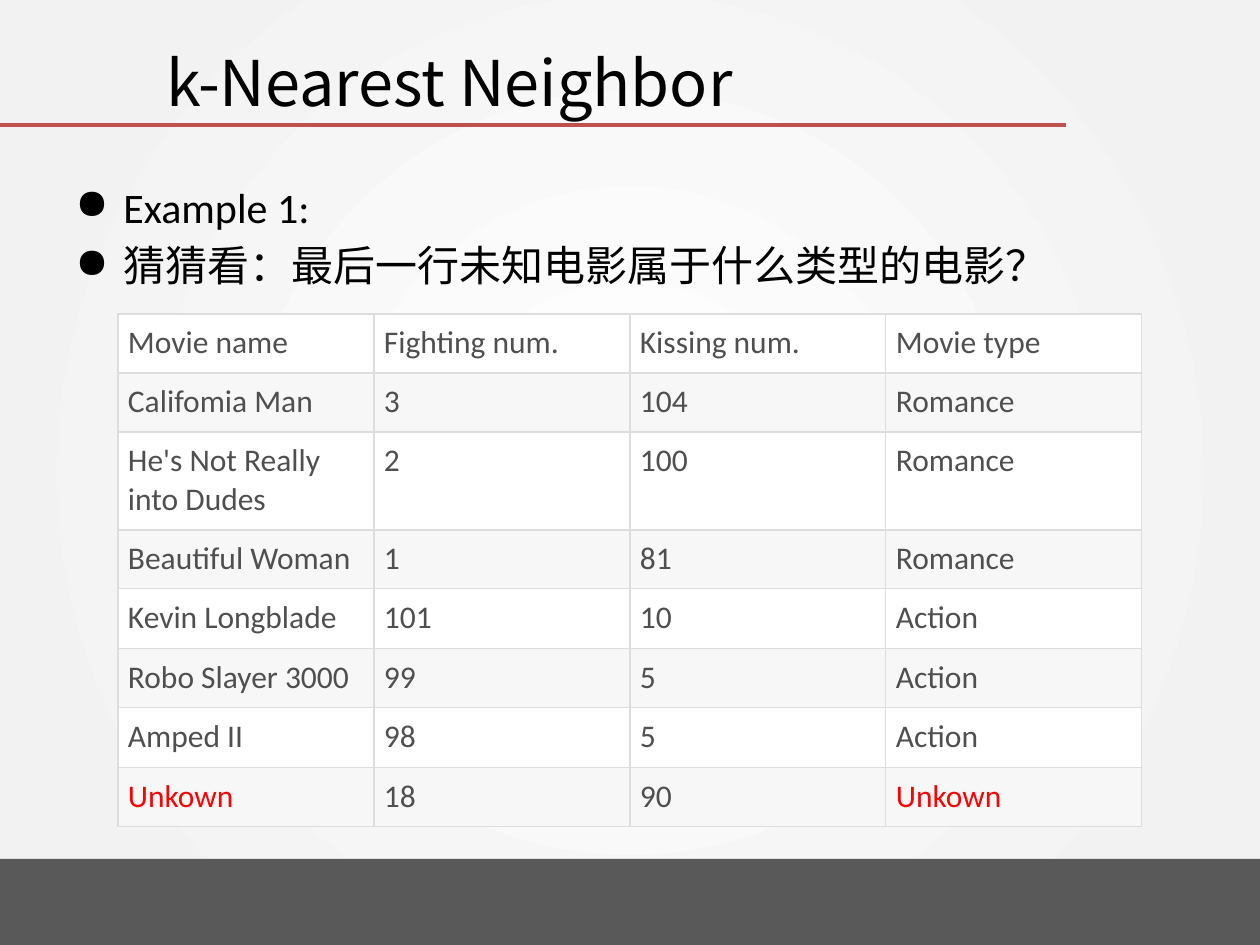
from dataclasses import dataclass
from itertools import pairwise

from lxml.etree import SubElement
from pptx import Presentation
from pptx.dml.color import RGBColor
from pptx.enum.shapes import MSO_CONNECTOR, MSO_SHAPE
from pptx.enum.text import MSO_ANCHOR
from pptx.oxml import parse_xml
from pptx.oxml.ns import nsdecls, qn
from pptx.util import Emu, Pt

EMU_PER_INCH = 914400
PX_PER_INCH = 126
LATIN, CJK = "Calibri", "Noto Sans CJK SC"
BLACK, GREY, RED = "000000", "4F4F4F", "FF0000"
UNKNOWN = "Unkown"

BULLETS = ["Example 1:", "猜猜看：最后一行未知电影属于什么类型的电影？"]
MOVIES = [
    ("Movie name", "Fighting num.", "Kissing num.", "Movie type"),
    ("Califomia Man", "3", "104", "Romance"),
    ("He's Not Really into Dudes", "2", "100", "Romance"),
    ("Beautiful Woman", "1", "81", "Romance"),
    ("Kevin Longblade", "101", "10", "Action"),
    ("Robo Slayer 3000", "99", "5", "Action"),
    ("Amped II", "98", "5", "Action"),
    (UNKNOWN, "18", "90", UNKNOWN),
]
ROW_EDGES = [314, 373, 432, 530, 589, 649, 708, 768, 827]
COLUMN_WIDTH = 256


@dataclass(frozen=True)
class Area:
    left: int
    top: int
    width: int
    height: int

    def emu(self) -> tuple:
        return tuple(px(n) for n in (self.left, self.top, self.width, self.height))


@dataclass(frozen=True)
class TextStyle:
    size: int
    color: str
    font: str = LATIN


def px(length: int) -> Emu:
    return Emu(round(length * EMU_PER_INCH / PX_PER_INCH))


def rgb(value: str) -> RGBColor:
    return RGBColor.from_string(value)


def apply_format(target, values: dict) -> None:
    for name, value in values.items():
        setattr(target, name, value)


def write(para, text: str, style: TextStyle) -> None:
    span = para.add_run()
    span.text = text
    apply_format(span.font, {"size": Pt(style.size), "name": style.font})
    span.font.color.rgb = rgb(style.color)
    SubElement(span.font._element, qn("a:ea")).set("typeface", CJK)


def add_bullet(para) -> None:
    props = para._p.get_or_add_pPr()
    props.set("marL", str(px(48)))
    props.set("indent", str(px(-48)))
    SubElement(props, qn("a:buChar")).set("char", "●")


def add_text(page, area: Area, lines: list[str], style: TextStyle,
             anchor: MSO_ANCHOR, bulleted: bool = False) -> None:
    box = page.shapes.add_textbox(*area.emu())
    frame = box.text_frame
    apply_format(frame, {"word_wrap": True, "vertical_anchor": anchor})
    for index, line in enumerate(lines):
        para = frame.add_paragraph() if index else frame.paragraphs[0]
        if bulleted:
            para.space_before = Pt(style.size * 0.2)
            add_bullet(para)
        write(para, line, style)


def set_borders(cell, color: str, width: float) -> None:
    props = cell._tc.get_or_add_tcPr()
    for index, side in enumerate("LRTB"):
        props.insert(index, parse_xml(
            f'<a:ln{side} {nsdecls("a")} w="{Pt(width)}"><a:solidFill>'
            f'<a:srgbClr val="{color}"/></a:solidFill></a:ln{side}>'))


def add_movie_table(page) -> None:
    columns = len(MOVIES[0])
    area = Area(118, ROW_EDGES[0], columns * COLUMN_WIDTH, ROW_EDGES[-1] - ROW_EDGES[0])
    table = page.shapes.add_table(len(MOVIES), columns, *area.emu()).table
    for column in table.columns:
        column.width = px(COLUMN_WIDTH)
    for row, (top, bottom) in zip(table.rows, pairwise(ROW_EDGES)):
        row.height = px(bottom - top)
    margins = {f"margin_{side}": px(10) for side in ("left", "right", "top", "bottom")}
    for row_index, values in enumerate(MOVIES):
        for column_index, value in enumerate(values):
            cell = table.cell(row_index, column_index)
            apply_format(cell, margins)
            cell.fill.solid()
            cell.fill.fore_color.rgb = rgb("F7F7F7" if row_index % 2 else "FFFFFF")
            set_borders(cell, "DDDDDD", 0.75)
            color = RED if value == UNKNOWN else GREY
            write(cell.text_frame.paragraphs[0], value, TextStyle(18, color))


def set_background(page) -> None:
    page.background.fill.solid()
    props = page._element.cSld.find(qn("p:bg")).find(qn("p:bgPr"))
    stops = "".join(f'<a:gs pos="{percent * 1000}"><a:srgbClr val="{color}"/></a:gs>'
                    for percent, color in ((0, "FFFFFF"), (85, "F2F2F2"), (100, "F2F2F2")))
    props.replace(props[0], parse_xml(
        f'<a:gradFill {nsdecls("a")} rotWithShape="1"><a:gsLst>{stops}</a:gsLst>'
        '<a:path path="circle"><a:fillToRect l="50000" t="50000" r="50000" b="50000"/>'
        '</a:path></a:gradFill>'))


def add_footer_band(page) -> None:
    band = page.shapes.add_shape(MSO_SHAPE.RECTANGLE, *Area(0, 859, 1260, 86).emu())
    band.shadow.inherit = False
    band.fill.solid()
    band.fill.fore_color.rgb = rgb("595959")
    band.line.fill.background()


def add_title_rule(page) -> None:
    rule = page.shapes.add_connector(MSO_CONNECTOR.STRAIGHT, px(0), px(125), px(1066), px(125))
    rule.line.color.rgb = rgb("C0504D")
    rule.line.width = Pt(2)
    SubElement(rule._element.spPr, qn("a:effectLst"))


def main() -> None:
    deck = Presentation()
    apply_format(deck, {"slide_width": px(1260), "slide_height": px(945)})
    page = deck.slides.add_slide(deck.slide_layouts[6])

    # Backdrop
    set_background(page)
    add_footer_band(page)
    add_title_rule(page)

    # Question and title
    add_text(page, Area(63, 175, 1134, 669), BULLETS, TextStyle(24, BLACK),
             MSO_ANCHOR.TOP, bulleted=True)
    add_text(page, Area(154, 37, 912, 89), ["k-Nearest Neighbor"],
             TextStyle(36, BLACK, CJK), MSO_ANCHOR.MIDDLE)

    # Movie data
    add_movie_table(page)
    deck.save("out.pptx")


if __name__ == "__main__":
    main()
